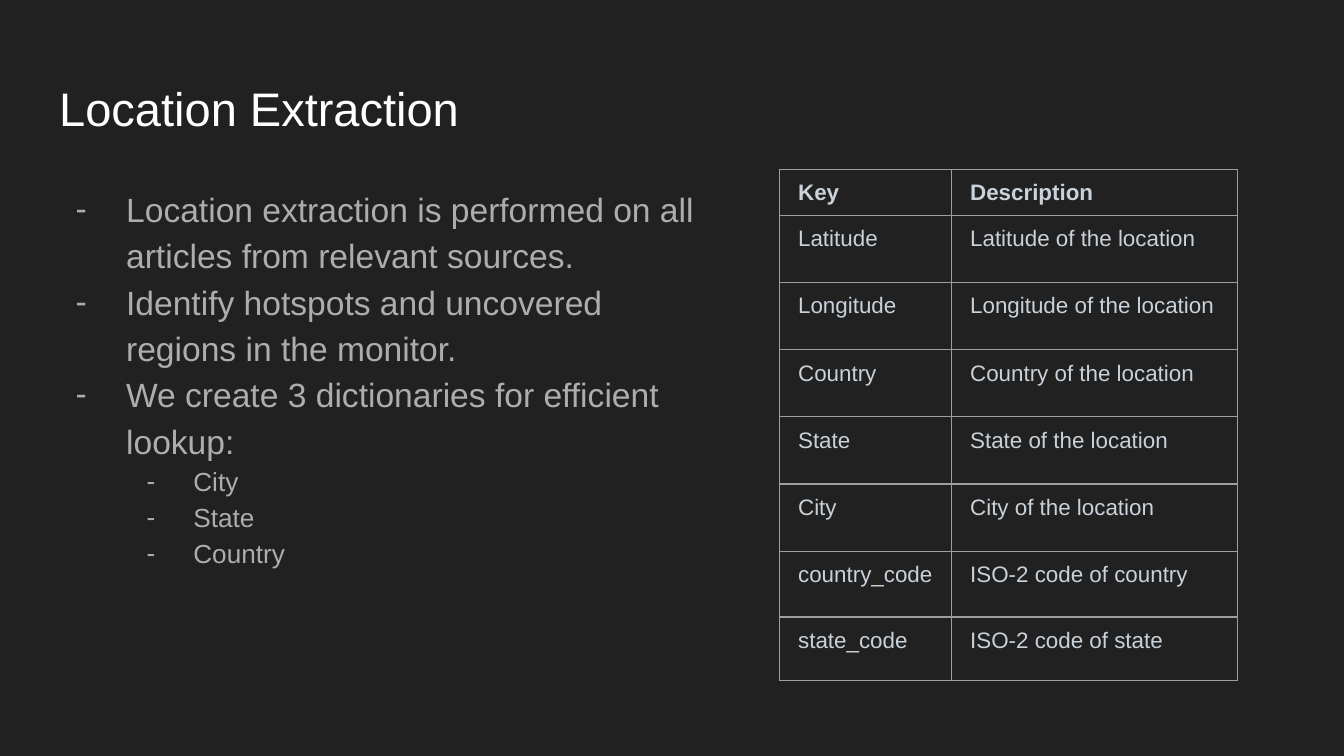
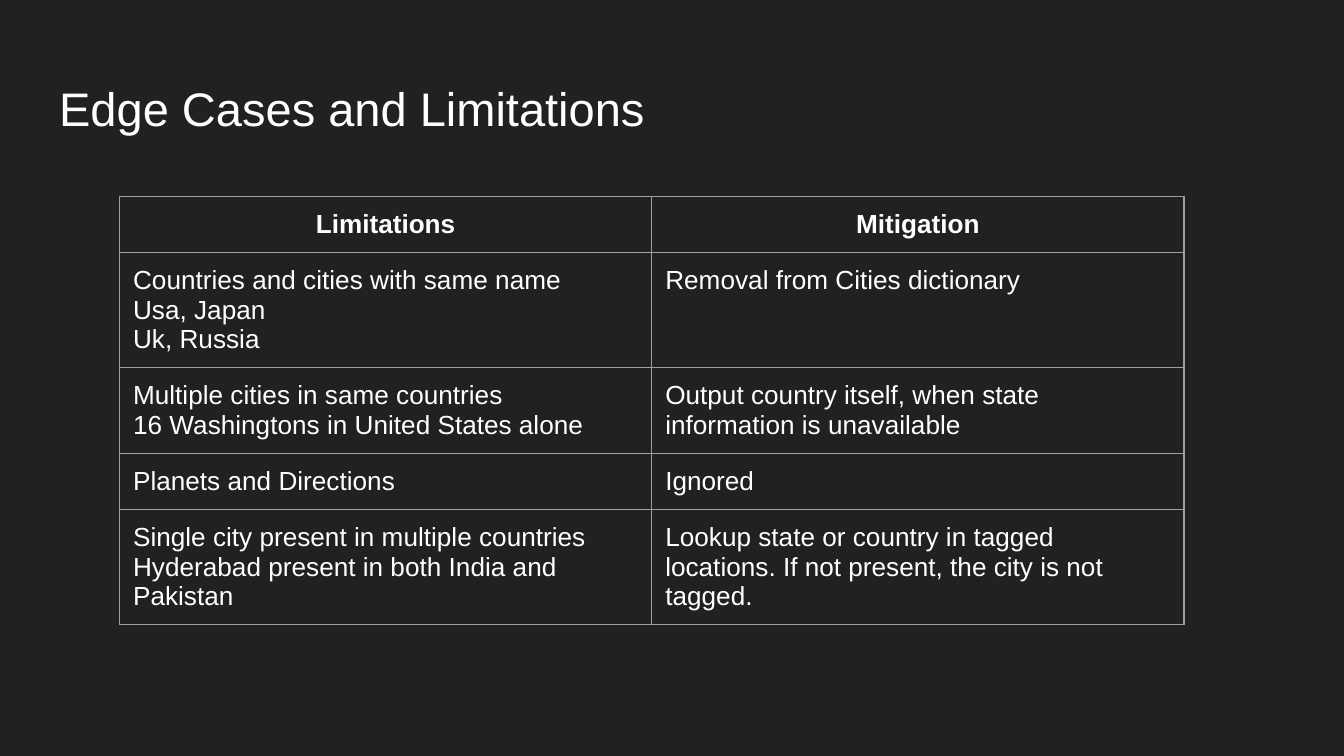
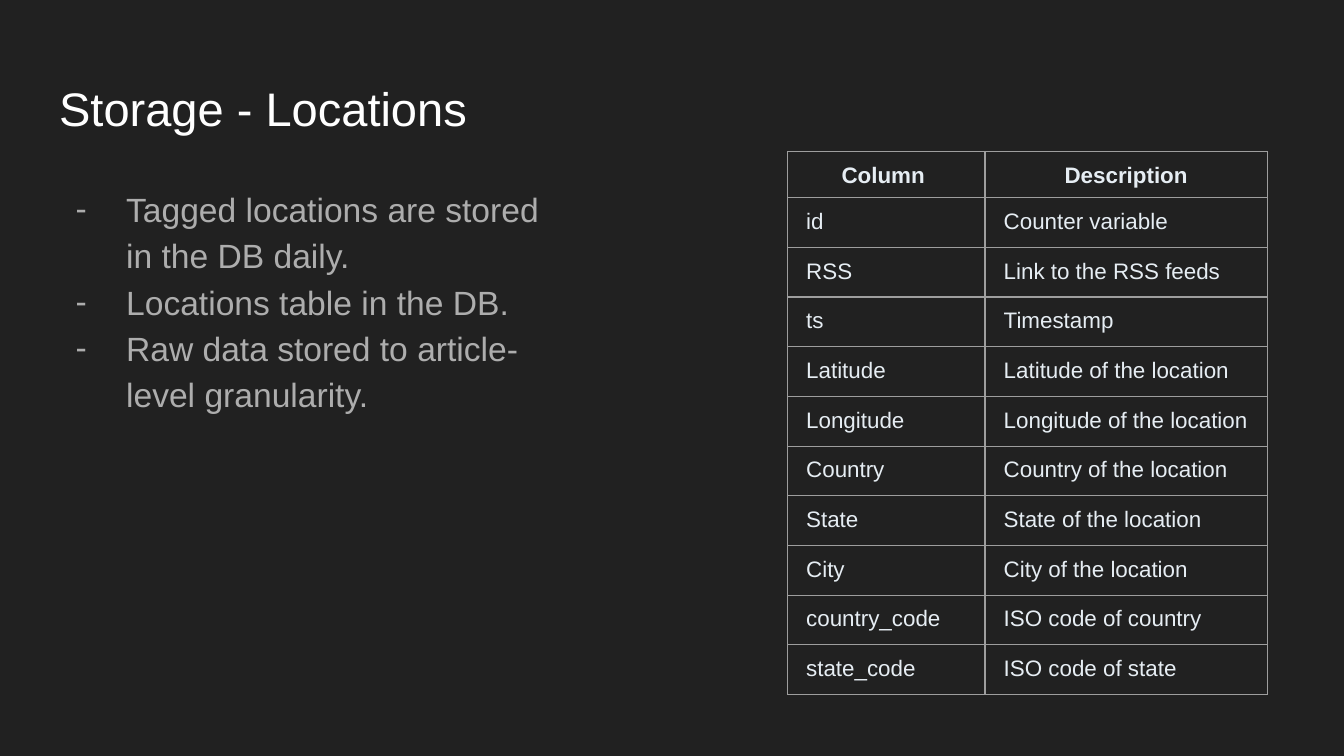
from dataclasses import dataclass

from lxml import etree
from pptx import Presentation
from pptx.dml.color import RGBColor
from pptx.enum.text import MSO_ANCHOR, PP_ALIGN
from pptx.oxml.ns import qn
from pptx.util import Inches, Pt

LEFT, CENTER = PP_ALIGN.LEFT, PP_ALIGN.CENTER
TOP = MSO_ANCHOR.TOP
TITLE_ONLY_LAYOUT = 5


@dataclass(frozen=True)
class Theme:
    font: str = "Arial"
    background: str = "212121"
    white: str = "FFFFFF"
    body: str = "ADADAD"
    key_text: str = "C9D1D9"
    column_text: str = "E6EDF3"
    border: str = "9E9E9E"
    border_width: float = 0.75
    title_size: float = 25.2
    bullet_sizes: tuple = (18, 14)
    bullet_hangs: tuple = (27, 25)
    comparison_size: float = 14
    schema_size: float = 12
    line_spacing: float = 1.15


THEME = Theme()

LOCATION_FIELDS = [
    (name, f"{name} of the location")
    for name in ("Latitude", "Longitude", "Country", "State", "City")
]


def set_font(paragraph, size, color, bold=False):
    font = paragraph.font
    font.name = THEME.font
    font.size = Pt(size)
    font.bold = bold
    font.color.rgb = RGBColor.from_string(color)


def set_frame(text_frame):
    text_frame.word_wrap = True
    text_frame.vertical_anchor = TOP
    text_frame.margin_left = text_frame.margin_right = Inches(0.1)
    text_frame.margin_top = text_frame.margin_bottom = Inches(0.1)


def add_titled_slide(presentation, text):
    slide = presentation.slides.add_slide(presentation.slide_layouts[TITLE_ONLY_LAYOUT])
    title = slide.shapes.title
    title.left, title.top = Inches(0.34), Inches(0.49)
    title.width, title.height = Inches(9.32), Inches(0.63)
    title.text = text
    set_frame(title.text_frame)
    paragraph = title.text_frame.paragraphs[0]
    paragraph.alignment = LEFT
    set_font(paragraph, THEME.title_size, THEME.white)
    return slide


def set_dash_bullet(paragraph, level):
    properties = paragraph._p.get_or_add_pPr()
    properties.set("marL", str(Inches(0.5 * (level + 1))))
    properties.set("indent", str(-Pt(THEME.bullet_hangs[level])))
    color = etree.SubElement(properties, qn("a:buClr"))
    etree.SubElement(color, qn("a:srgbClr"), val=THEME.body)
    etree.SubElement(properties, qn("a:buSzPts"), val=str(THEME.bullet_sizes[level] * 100))
    etree.SubElement(properties, qn("a:buFont"), typeface=THEME.font)
    etree.SubElement(properties, qn("a:buChar"), char="-")


def add_bullets(slide, width, items):
    """Add a dashed list; each item is a (level, text) pair."""
    box = slide.shapes.add_textbox(Inches(0.34), Inches(1.26), Inches(width), Inches(3.78))
    text_frame = box.text_frame
    set_frame(text_frame)
    for index, (level, text) in enumerate(items):
        paragraph = text_frame.add_paragraph() if index else text_frame.paragraphs[0]
        paragraph.text = text
        paragraph.level = level
        set_dash_bullet(paragraph, level)
        paragraph.line_spacing = THEME.line_spacing
        set_font(paragraph, THEME.bullet_sizes[level], THEME.body)


def set_borders(cell):
    properties = cell._tc.get_or_add_tcPr()
    for side in ("lnL", "lnR", "lnT", "lnB"):
        line = etree.SubElement(properties, qn(f"a:{side}"), w=str(Pt(THEME.border_width)))
        fill = etree.SubElement(line, qn("a:solidFill"))
        etree.SubElement(fill, qn("a:srgbClr"), val=THEME.border)


def add_table(slide, left, top, widths, heights, rows, size, color,
              margins=(7.2, 7.2), header_alignment=LEFT):
    """Add a bordered table with a bold first row.

    Margins are (side, top and bottom) in points.
    """
    frame = slide.shapes.add_table(
        len(rows), len(widths), Inches(left), Inches(top),
        Inches(sum(widths)), Inches(sum(heights)))
    table = frame.table
    table.horz_banding = False
    for column, width in zip(table.columns, widths):
        column.width = Inches(width)
    for row_index, (row, height, texts) in enumerate(zip(table.rows, heights, rows)):
        row.height = Inches(height)
        is_header = row_index == 0
        for cell, text in zip(row.cells, texts):
            set_borders(cell)
            cell.fill.background()
            cell.margin_left = cell.margin_right = Pt(margins[0])
            cell.margin_top = cell.margin_bottom = Pt(margins[1])
            cell.text = text
            for paragraph in cell.text_frame.paragraphs:
                paragraph.alignment = header_alignment if is_header else LEFT
                set_font(paragraph, size, color, bold=is_header)
    return table


def add_schema_table(slide, left, top, widths, heights, rows, color, header_alignment=LEFT):
    """Add a compact field and description table with loose line spacing."""
    table = add_table(slide, left, top, widths, heights, rows, THEME.schema_size, color,
                      (10, 4), header_alignment)
    for cell in table.iter_cells():
        paragraph = cell.text_frame.paragraphs[0]
        paragraph.line_spacing = THEME.line_spacing
        paragraph.space_after = Pt(12)


def code_fields(standard):
    return [(f"{place}_code", f"{standard} code of {place}") for place in ("country", "state")]


def add_extraction_slide(presentation):
    slide = add_titled_slide(presentation, "Location Extraction")
    add_bullets(slide, 5.12, [
        (0, "Location extraction is performed on all articles from relevant sources."),
        (0, "Identify hotspots and uncovered regions in the monitor."),
        (0, "We create 3 dictionaries for efficient lookup:"),
        (1, "City"),
        (1, "State"),
        (1, "Country"),
    ])
    rows = [("Key", "Description"), *LOCATION_FIELDS, *code_fields("ISO-2")]
    add_schema_table(slide, 5.8, 1.26, (1.28, 2.13), [0.28] + [0.5] * 5 + [0.49, 0.47],
                     rows, THEME.key_text)


def add_limitations_slide(presentation):
    slide = add_titled_slide(presentation, "Edge Cases and Limitations")
    rows = [
        ("Limitations", "Mitigation"),
        ("Countries and cities with same name\nUsa, Japan\nUk, Russia",
         "Removal from Cities dictionary"),
        ("Multiple cities in same countries\n16 Washingtons in United States alone",
         "Output country itself, when state information is unavailable"),
        ("Planets and Directions", "Ignored"),
        ("Single city present in multiple countries\n"
         "Hyderabad present in both India and Pakistan",
         "Lookup state or country in tagged locations. "
         "If not present, the city is not tagged."),
    ]
    add_table(slide, 0.89, 1.46, (3.96, 3.96), [0.42] * len(rows), rows,
              THEME.comparison_size, THEME.white, header_alignment=CENTER)


def add_storage_slide(presentation):
    slide = add_titled_slide(presentation, "Storage - Locations")
    add_bullets(slide, 4.02, [
        (0, "Tagged locations are stored in the DB daily."),
        (0, "Locations table in the DB."),
        (0, "Raw data stored to article-level granularity."),
    ])
    rows = [
        ("Column ", "Description"),
        ("id", "Counter variable"),
        ("RSS", "Link to the RSS feeds"),
        ("ts", "Timestamp"),
        *LOCATION_FIELDS,
        *code_fields("ISO"),
    ]
    add_schema_table(slide, 5.86, 1.13, (1.47, 2.1), [0.29] + [0.37] * (len(rows) - 1),
                     rows, THEME.column_text, CENTER)


def main():
    presentation = Presentation()
    presentation.slide_width = Inches(10)
    presentation.slide_height = presentation.slide_width * 9 // 16
    background = presentation.slide_master.background.fill
    background.solid()
    background.fore_color.rgb = RGBColor.from_string(THEME.background)
    add_extraction_slide(presentation)
    add_limitations_slide(presentation)
    add_storage_slide(presentation)
    presentation.save("out.pptx")


if __name__ == "__main__":
    main()
